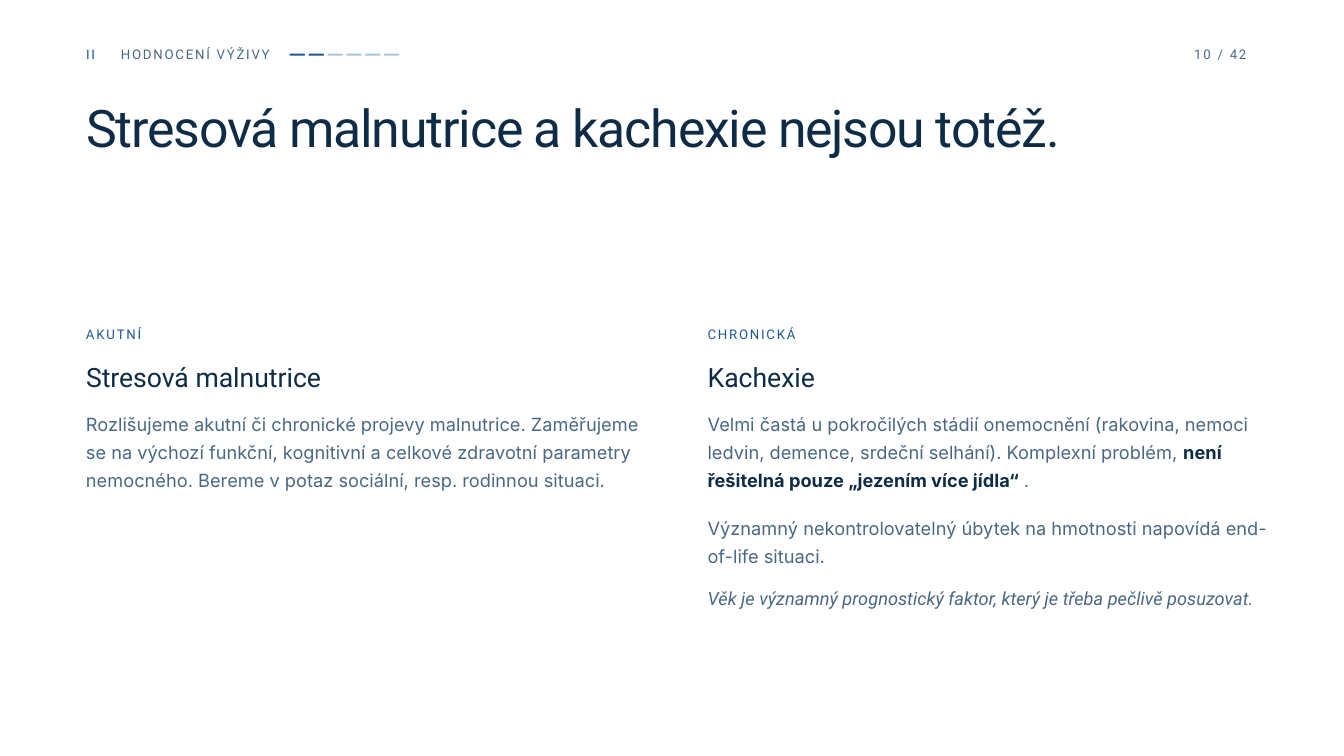
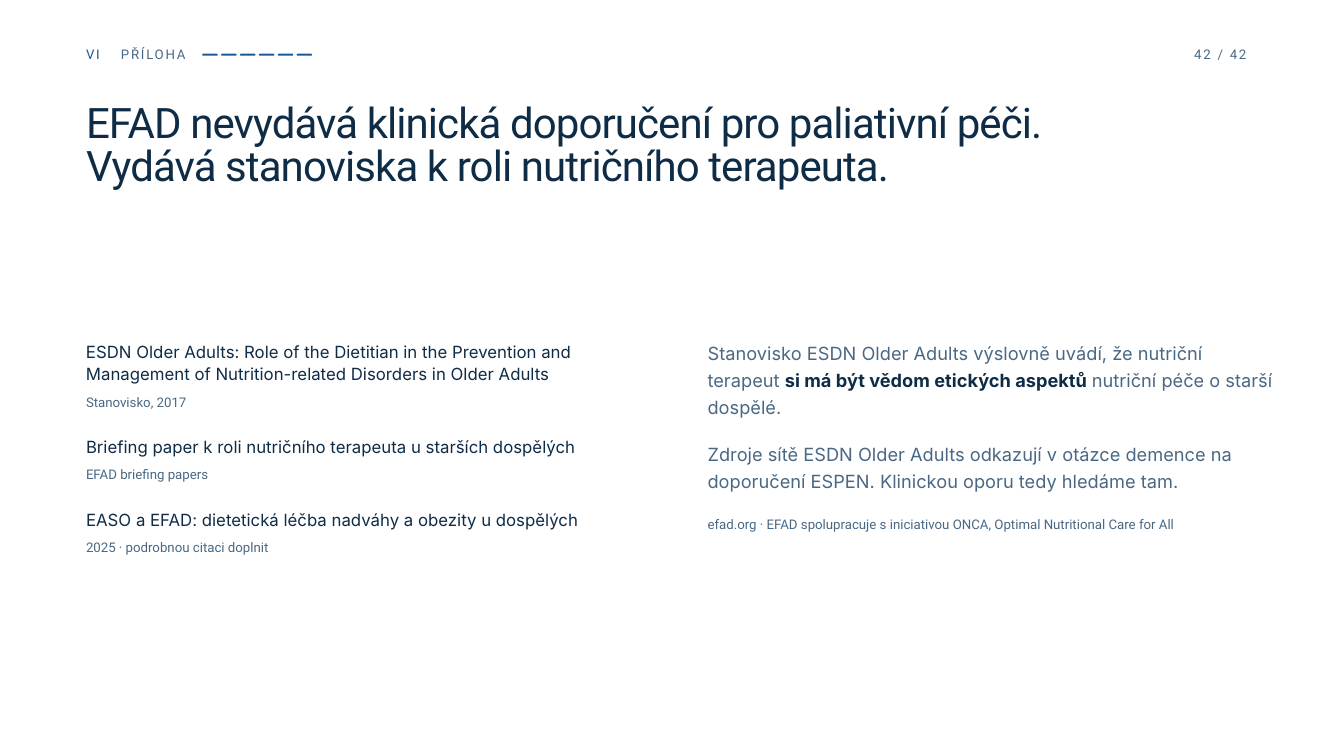
from dataclasses import dataclass

from pptx import Presentation
from pptx.dml.color import RGBColor
from pptx.enum.shapes import MSO_SHAPE
from pptx.enum.text import MSO_AUTO_SIZE
from pptx.util import Inches, Pt

COLORS = {"ink": "0F2C47", "blue": "1D5994", "slate": "4A6884",
          "pale": "AFC4D6", "white": "FFFFFF"}
LEFT, RIGHT = 1.28, 10.53  # column edges
COL_W, WIDE_W = 8.44, 9.02
SECTIONS = 6
TOTAL = 42


@dataclass
class Style:
    size: float
    line: float
    font: str = "Roboto"
    color: str = "slate"
    spacing: float = 0
    italic: bool = False


# Text styles
LABEL = Style(14.2, 21.5, spacing=1.9)
ACCENT = Style(14.2, 21.5, color="blue", spacing=1.9)
TITLE = Style(55.5, 56.7, color="ink", spacing=-1.3)
LONG_TITLE = Style(45, 46.5, color="ink", spacing=-1)
HEADING = Style(28.5, 31.8, color="ink")
BODY = Style(19.5, 30.1, "Inter")
STATEMENT = Style(19.5, 29, "Inter")
ASIDE = Style(19.5, 30.1, italic=True)
SOURCE = Style(18, 23.7, "Inter", "ink")
CITATION = Style(14.2, 19.2)
FOOTNOTE = Style(14.2, 19.9)


def rgb(name):
    return RGBColor.from_string(COLORS[name])


def add_text(slide, x, y, w, h, text, style):
    """Add a text box; newlines split paragraphs, ** marks strong words."""
    sp = slide.shapes.add_textbox(Inches(x), Inches(y), Inches(w), Inches(h))
    tf = sp.text_frame
    tf.margin_left = tf.margin_right = tf.margin_top = tf.margin_bottom = 0
    tf.word_wrap = True
    tf.auto_size = MSO_AUTO_SIZE.SHAPE_TO_FIT_TEXT
    for i, line in enumerate(text.split("\n")):
        p = tf.add_paragraph() if i else tf.paragraphs[0]
        p.line_spacing = Pt(style.line)
        p.font.name = style.font
        p.font.size = Pt(style.size)
        p.font.italic = style.italic
        p.font.color.rgb = rgb(style.color)
        for j, part in enumerate(line.split("**")):
            r = p.add_run()
            r.text = part
            if j % 2:
                r.font.bold = True
                r.font.color.rgb = rgb("ink")
            if style.spacing:
                r._r.get_or_add_rPr().set("spc", str(round(style.spacing * 100)))


def add_progress(slide, x, done):
    """Add one dash per section, with the finished ones in blue."""
    for i in range(SECTIONS):
        sp = slide.shapes.add_shape(
            MSO_SHAPE.ROUNDED_RECTANGLE, Inches(x + i * 0.281), Inches(0.8),
            Inches(0.23), Inches(0.03))
        sp.adjustments[0] = 0.5
        sp.shadow.inherit = False
        sp.fill.solid()
        sp.fill.fore_color.rgb = rgb("blue" if i < done else "pale")
        sp.line.fill.background()


def add_slide(prs, numeral, section, section_w, done, page):
    """Add a slide with the shared header band."""
    slide = prs.slides.add_slide(prs.slide_layouts[6])
    slide.background.fill.solid()
    slide.background.fill.fore_color.rgb = rgb("white")
    add_text(slide, LEFT, 0.62, 0.32, 0.37, numeral, ACCENT)
    add_text(slide, 1.8, 0.62, section_w, 0.37, section, LABEL)
    add_progress(slide, 1.8 + section_w + 0.17, done)
    add_text(slide, 17.77, 0.62, 1.04, 0.37, f"{page} / {TOTAL}", LABEL)
    return slide


def add_topic(slide, x, label, heading, body):
    add_text(slide, x, 4.8, COL_W, 0.37, label, ACCENT)
    add_text(slide, x, 5.4, WIDE_W, 0.45, heading, HEADING)
    add_text(slide, x, 6.06, COL_W, 1.34, body, BODY)


def add_source(slide, y, w, lines, name, citation):
    h = 0.34 * lines
    add_text(slide, LEFT, y, w, h, name, SOURCE)
    add_text(slide, LEFT, y + h + 0.1, WIDE_W, 0.31, citation, CITATION)
    return y + h + 1.08 - 0.34  # top of the next source


def build_comparison(prs):
    slide = add_slide(prs, "II", "HODNOCENÍ VÝŽIVY", 2.34, 2, 10)
    add_text(slide, LEFT, 1.56, 17.82, 0.77,
             "Stresová malnutrice a kachexie nejsou totéž.", TITLE)
    add_topic(slide, LEFT, "AKUTNÍ", "Stresová malnutrice",
              "Rozlišujeme akutní či chronické projevy malnutrice. Zaměřujeme se "
              "na výchozí funkční, kognitivní a celkové zdravotní parametry "
              "nemocného. Bereme v potaz sociální, resp. rodinnou situaci.")
    add_topic(slide, RIGHT, "CHRONICKÁ", "Kachexie",
              "Velmi častá u pokročilých stádií onemocnění (rakovina, nemoci "
              "ledvin, demence, srdeční selhání). Komplexní problém, "
              "**není řešitelná pouze „jezením více jídla“ **.")
    add_text(slide, RIGHT, 7.6, COL_W, 0.91,
             "Významný nekontrolovatelný úbytek na hmotnosti napovídá "
             "end-of-life situaci.", BODY)
    add_text(slide, RIGHT, 8.64, COL_W, 0.91,
             "Věk je významný prognostický faktor, který je třeba pečlivě "
             "posuzovat.", ASIDE)


def build_appendix(prs):
    slide = add_slide(prs, "VI", "PŘÍLOHA", 1.04, 6, 42)
    add_text(slide, LEFT, 1.54, 16.68, 1.33,
             "EFAD nevydává klinická doporučení pro paliativní péči.\n"
             "Vydává stanoviska k roli nutričního terapeuta.", LONG_TITLE)

    # Sources
    sources = [
        (COL_W, 2, "ESDN Older Adults: Role of the Dietitian in the Prevention and "
         "Management of Nutrition-related Disorders in Older Adults",
         "Stanovisko, 2017"),
        (WIDE_W, 1, "Briefing paper k roli nutričního terapeuta u starších dospělých",
         "EFAD briefing papers"),
        (WIDE_W, 1, "EASO a EFAD: dietetická léčba nadváhy a obezity u dospělých",
         "2025 · podrobnou citaci doplnit"),
    ]
    y = 5.05
    for source in sources:
        y = add_source(slide, y, *source)

    # Statement
    add_text(slide, RIGHT, 5.01, COL_W, 1.27,
             "Stanovisko ESDN Older Adults výslovně uvádí, že nutriční terapeut "
             "**si má být vědom etických aspektů **nutriční péče o starší dospělé.",
             STATEMENT)
    add_text(slide, RIGHT, 6.52, COL_W, 0.86,
             "Zdroje sítě ESDN Older Adults odkazují v otázce demence na "
             "doporučení ESPEN. Klinickou oporu tedy hledáme tam.", STATEMENT)
    add_text(slide, RIGHT, 7.64, COL_W, 0.62,
             "efad.org · EFAD spolupracuje s iniciativou ONCA, Optimal "
             "Nutritional Care for All", FOOTNOTE)


def main():
    prs = Presentation()
    prs.slide_width, prs.slide_height = Inches(20), Inches(11.25)
    build_comparison(prs)
    build_appendix(prs)
    prs.save("out.pptx")


if __name__ == "__main__":
    main()
